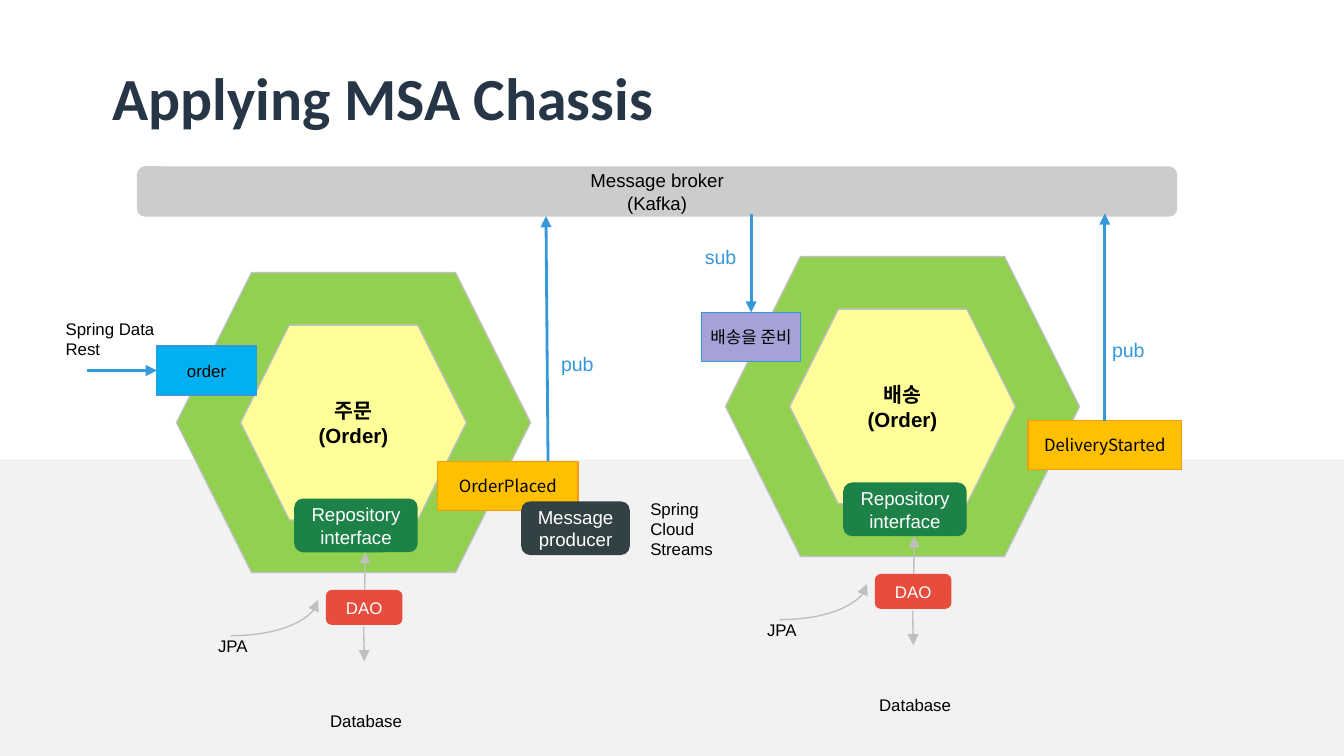
from lxml.etree import SubElement
from pptx import Presentation
from pptx.dml.color import RGBColor
from pptx.enum.shapes import MSO_CONNECTOR, MSO_SHAPE
from pptx.enum.text import MSO_ANCHOR, PP_ALIGN
from pptx.oxml.ns import qn
from pptx.util import Pt

COLORS = {
    "band": "F2F2F2", "title": "273646", "black": "000000", "white": "FFFFFF",
    "hexagon": "92D050", "core": "FFFF99", "gray": "BFBFBF", "broker": "CCCCCC",
    "dao": "E74C3C", "repository": "1D8247", "producer": "324144",
    "event": "FFC000", "event_line": "F39C12", "blue": "3498DB",
    "command": "00B0F0", "policy": "A6A1D7",
}
KOREAN = "Noto Sans CJK KR"
RECT, ROUND, HEXAGON = MSO_SHAPE.RECTANGLE, MSO_SHAPE.ROUNDED_RECTANGLE, MSO_SHAPE.HEXAGON

prs = Presentation()
prs.slide_width, prs.slide_height = Pt(720), Pt(405)
s = prs.slides.add_slide(prs.slide_layouts[6])


def add_box(box, text="", size=9, color="black", kind=None, fill=None, line=None,
            font="Arial", bold=False, align=PP_ALIGN.CENTER, inset=(0, 0), wrap=True):
    """Add a preset shape, or a text box if kind is None; inset is (sides, top and bottom)."""
    box = [Pt(v) for v in box]
    if kind is None:
        sp = s.shapes.add_textbox(*box)
    else:
        sp = s.shapes.add_shape(kind, *box)
        sp.shadow.inherit = False
        sp.fill.solid()
        sp.fill.fore_color.rgb = RGBColor.from_string(COLORS[fill])
        if line:
            sp.line.color.rgb = RGBColor.from_string(COLORS[line])
            sp.line.width = Pt(0.75)
        else:
            sp.line.fill.background()
    tf = sp.text_frame
    tf.word_wrap = wrap
    tf.vertical_anchor = MSO_ANCHOR.MIDDLE if kind else MSO_ANCHOR.TOP
    tf.margin_left = tf.margin_right = Pt(inset[0])
    tf.margin_top = tf.margin_bottom = Pt(inset[1])
    tf.text = text
    for p in tf.paragraphs:
        p.alignment = align
        for r in p.runs:
            r.font.size, r.font.bold, r.font.name = Pt(size), bold, font
            r.font.color.rgb = RGBColor.from_string(COLORS[color])
            SubElement(r.font._element, qn("a:ea"), typeface=KOREAN)
    return sp


def add_arrow(x1, y1, x2, y2, color="blue", width=1.5, curved=False):
    kind = MSO_CONNECTOR.CURVE if curved else MSO_CONNECTOR.STRAIGHT
    c = s.shapes.add_connector(kind, Pt(x1), Pt(y1), Pt(x2), Pt(y2))
    c.line.color.rgb = RGBColor.from_string(COLORS[color])
    c.line.width = Pt(width)
    sp_pr = c._element.spPr
    if curved:
        sp_pr.find(qn("a:prstGeom")).set("prst", "curvedConnector2")
    SubElement(sp_pr.find(qn("a:ln")), qn("a:tailEnd"), type="triangle")
    SubElement(sp_pr, qn("a:effectLst"))


# Background band and title
add_box((0, 246.2, 720, 158.8), kind=RECT, fill="band")
title = add_box((53.3, 32.4, 617, 43.2), "Applying MSA Chassis", 32, "title",
                font="Calibri", bold=True, align=PP_ALIGN.LEFT, inset=(7.2, 3.6))
title.text_frame.vertical_anchor = MSO_ANCHOR.MIDDLE
title.text_frame.paragraphs[0].line_spacing = 0.9

# Message broker
add_box((73.4, 89.1, 557.3, 27), "Message broker\n(Kafka)", 10, kind=ROUND,
        fill="broker", inset=(7.2, 3.6))

# Services, each with its persistence layer
for name, x, y in [("배송", 388.7, 137.5), ("주문", 94.6, 146.1)]:
    add_box((x, y, 189.6, 160.6), kind=HEXAGON, fill="hexagon", line="gray")
    add_box((x + 34.3, y + 28.1, 121, 104.4), f"{name}\n(Order)", 11, kind=HEXAGON,
            fill="core", line="gray", bold=True, inset=(7.2, 3.6))
    add_box((x + 80, y + 170, 41, 18.7), "DAO", color="white", kind=ROUND, fill="dao")
    add_box((x + 63, y + 121, 66.2, 28.8), "Repository\ninterface", 10, "white",
            kind=ROUND, fill="repository")
    add_box((x + 81.7, y + 234.8, 39.6, 10.8), "Database")
    add_box((x - 9.8, y + 194.5, 79.9, 10.8), "JPA")
    add_arrow(x + 100.8, y + 170, x + 101.1, y + 149.8, "gray", 0.75)
    add_arrow(x + 100.2, y + 189.6, x + 100.6, y + 208.2, "gray", 0.75)
    add_arrow(x + 29, y + 194.5, x + 75.8, y + 175.4, "gray", 0.75, curved=True)

# Commands, events and policy
for text, box, fill, line, font in [
    ("DeliveryStarted", (550.8, 225.4, 82.1, 26.2), "event", "event_line", KOREAN),
    ("OrderPlaced", (234.4, 247.2, 75.2, 26.2), "event", "event_line", KOREAN),
    ("배송을 준비", (375.7, 167.4, 53.2, 26.2), "policy", "blue", "Arial"),
    ("order", (84, 185.3, 53.4, 26.4), "command", "blue", "Arial"),
]:
    add_box(box, text, kind=RECT, fill=fill, line=line, font=font, inset=(0, 3.6))
add_box((279.2, 268.6, 58.2, 28.8), "Message\nproducer", 10, "white",
        kind=ROUND, fill="producer")

# Message flow
for ends in [(293.6, 247.2, 292.5, 115.8), (402.4, 114.8, 402.4, 167.4),
             (591.9, 225.4, 591.9, 114.4), (46.6, 198.5, 84, 198.5)]:
    add_arrow(*ends)
for text, box in [("pub", (293.5, 184.9, 33.1, 20.9)), ("pub", (588.7, 177.6, 33.1, 20.9)),
                  ("sub", (370.6, 127.9, 31.7, 20.2))]:
    add_box(box, text, 10.5, "blue", align=PP_ALIGN.LEFT, inset=(7.2, 3.6), wrap=False)

# Framework labels
for text, box in [("Spring Data\nRest", (28.1, 167.2, 62.6, 28.8)),
                  ("Spring Cloud Streams", (341.3, 263.5, 62.6, 40.3))]:
    add_box(box, text, align=PP_ALIGN.LEFT, inset=(7.2, 3.6))

prs.save("out.pptx")
